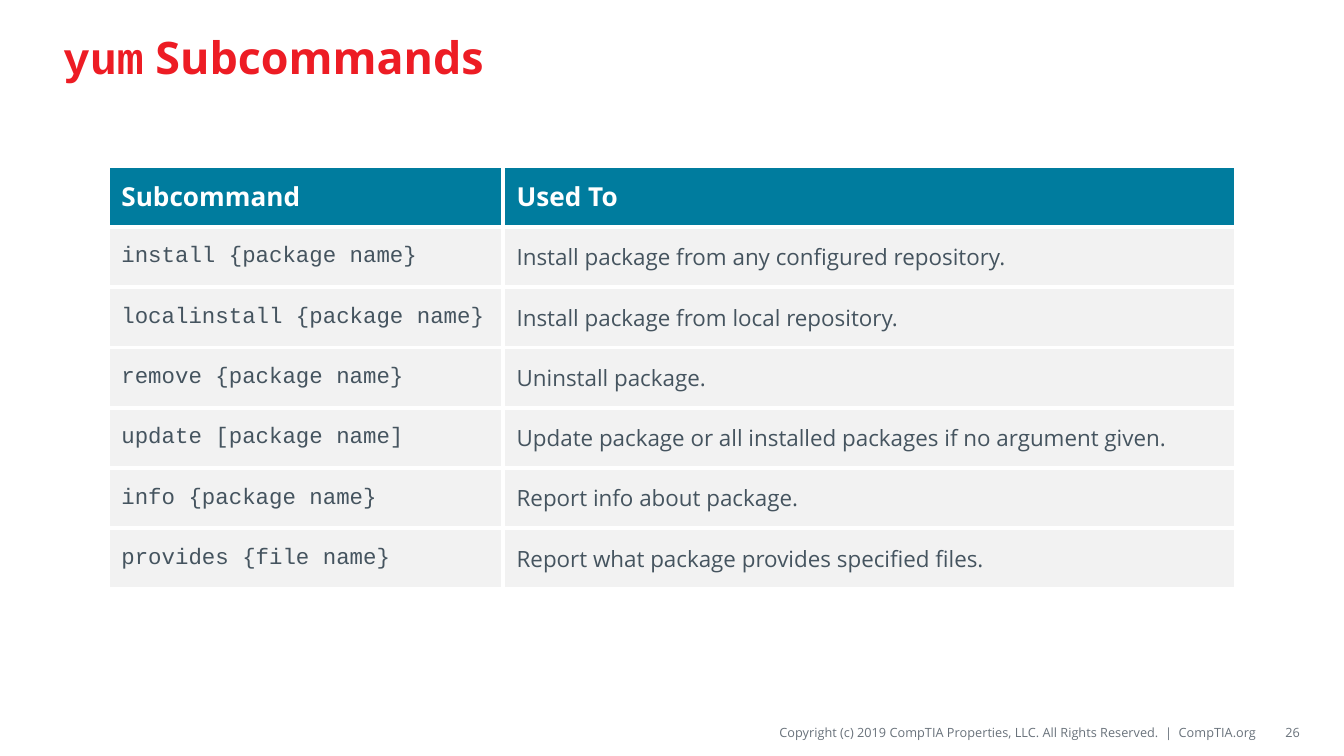
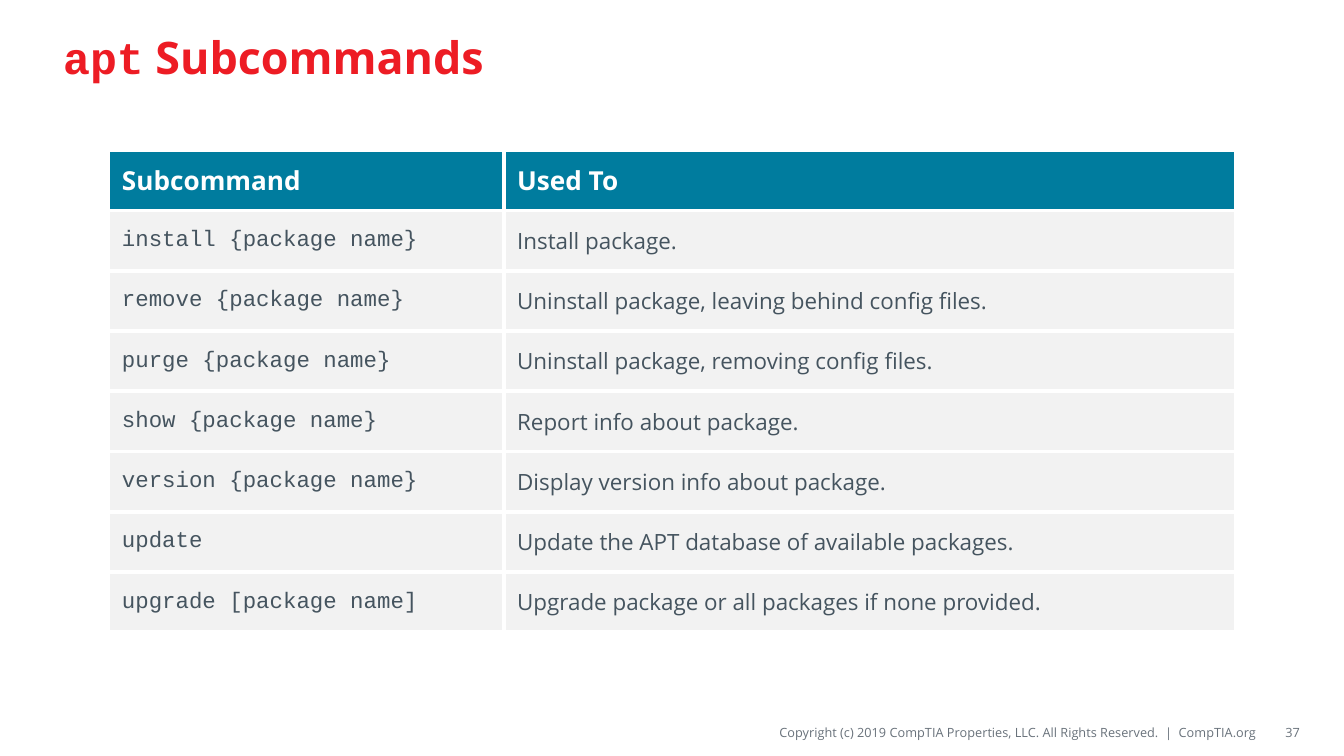
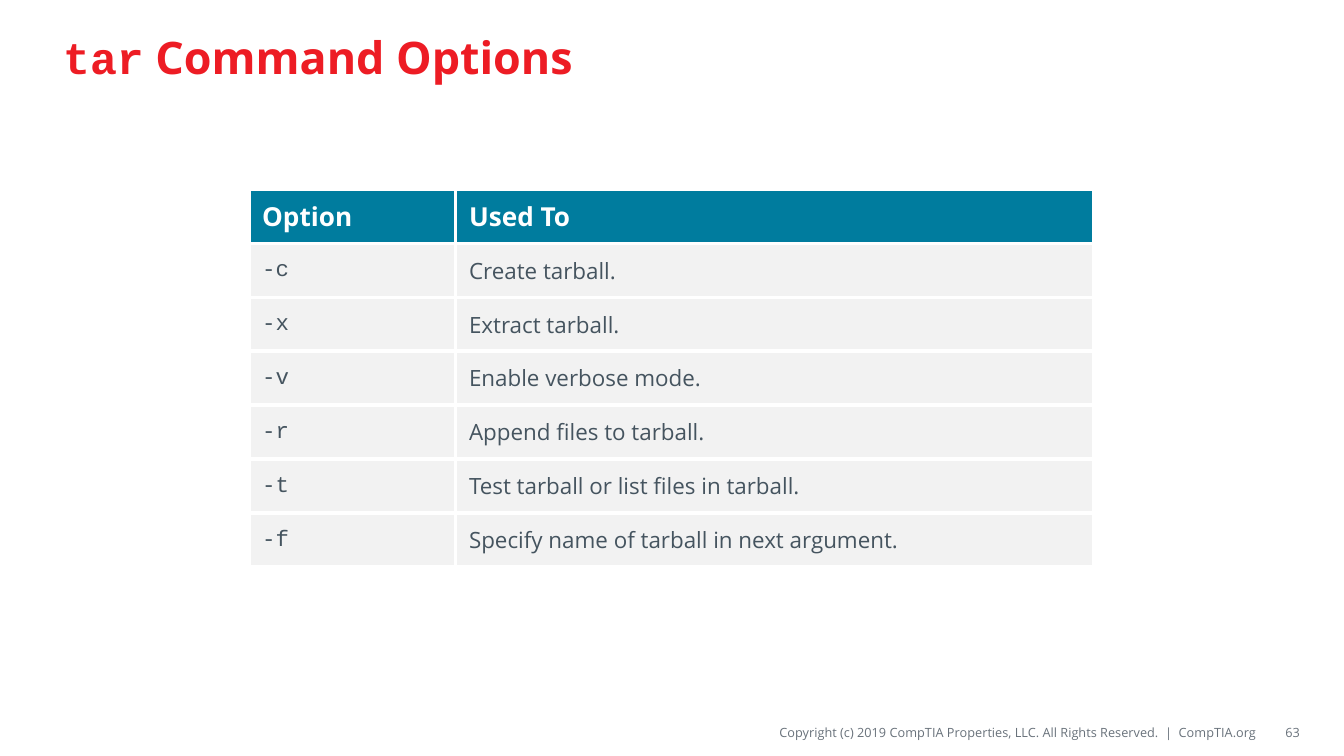
from dataclasses import dataclass

from lxml.etree import SubElement
from pptx import Presentation
from pptx.dml.color import RGBColor
from pptx.enum.text import MSO_ANCHOR, MSO_AUTO_SIZE, PP_ALIGN
from pptx.oxml.ns import qn
from pptx.slide import Slide
from pptx.table import _Cell
from pptx.text.text import _Paragraph
from pptx.util import Cm, Length, Pt

RED = RGBColor(0xED, 0x1C, 0x24)
TEAL = RGBColor(0x00, 0x7C, 0x9E)
PALE = RGBColor(0xF2, 0xF2, 0xF2)
SLATE = RGBColor(0x45, 0x54, 0x5F)
GREY = RGBColor(0x69, 0x72, 0x7B)
WHITE = RGBColor(0xFF, 0xFF, 0xFF)

BODY_FONT = "Open Sans"
CODE_FONT = "Courier New"
COPYRIGHT = "Copyright (c) 2019 CompTIA Properties, LLC. All Rights Reserved.  |  CompTIA.org"
FOOTER_TOP = Cm(13.56)
FOOTER_HEIGHT = Cm(0.56)
BORDER_WIDTH = Pt(2.25)


@dataclass(frozen=True)
class TextStyle:
    font: str
    size: float
    color: RGBColor
    bold: bool = False


@dataclass(frozen=True)
class TableLayout:
    left: Length
    top: Length
    column_widths: tuple[Length, Length]
    row_height: Length


@dataclass(frozen=True)
class CommandPage:
    command: str
    topic: str
    number: int
    layout: TableLayout
    header: tuple[str, str]
    entries: tuple[tuple[str, str], ...]


TITLE_CODE = TextStyle(CODE_FONT, 24, RED, True)
TITLE_TEXT = TextStyle(BODY_FONT, 24, RED, True)
HEADER_TEXT = TextStyle(BODY_FONT, 14, WHITE, True)
ENTRY_CODE = TextStyle(CODE_FONT, 12, SLATE)
ENTRY_TEXT = TextStyle(BODY_FONT, 12, SLATE)
FOOTER_TEXT = TextStyle(BODY_FONT, 6.8, GREY)

SUBCOMMAND_COLUMNS = (Cm(7.47), Cm(13.84))
OPTION_COLUMNS = (Cm(3.91), Cm(12.07))

PAGES = (
    CommandPage(
        "yum", "Subcommands", 26,
        TableLayout(Cm(2.04), Cm(3.15), SUBCOMMAND_COLUMNS, Cm(1.14)),
        ("Subcommand", "Used To"),
        (
            ("install {package name}", "Install package from any configured repository."),
            ("localinstall {package name}", "Install package from local repository."),
            ("remove {package name}", "Uninstall package."),
            ("update [package name]",
             "Update package or all installed packages if no argument given."),
            ("info {package name}", "Report info about package."),
            ("provides {file name}", "Report what package provides specified files."),
        ),
    ),
    CommandPage(
        "apt", "Subcommands", 37,
        TableLayout(Cm(2.05), Cm(2.84), SUBCOMMAND_COLUMNS, Cm(1.14)),
        ("Subcommand", "Used To"),
        (
            ("install {package name}", "Install package."),
            ("remove {package name}", "Uninstall package, leaving behind config files."),
            ("purge {package name}", "Uninstall package, removing config files."),
            ("show {package name}", "Report info about package."),
            ("version {package name}", "Display version info about package."),
            ("update", "Update the APT database of available packages."),
            ("upgrade [package name]", "Upgrade package or all packages if none provided."),
        ),
    ),
    CommandPage(
        "tar", "Command Options", 63,
        TableLayout(Cm(4.7), Cm(3.58), OPTION_COLUMNS, Cm(1.02)),
        ("Option", "Used To"),
        (
            ("-c", "Create tarball."),
            ("-x", "Extract tarball."),
            ("-v", "Enable verbose mode."),
            ("-r", "Append files to tarball."),
            ("-t", "Test tarball or list files in tarball."),
            ("-f", "Specify name of tarball in next argument."),
        ),
    ),
)


def add_span(para: _Paragraph, text: str, style: TextStyle) -> None:
    span = para.add_run()
    span.text = text
    span.font.name = style.font
    span.font.size = Pt(style.size)
    span.font.bold = style.bold
    span.font.color.rgb = style.color


def draw_title(page: Slide, command: str, topic: str) -> None:
    title = page.shapes.title
    title.left, title.top, title.width, title.height = Cm(0.94), Cm(0.2), Cm(23.5), Cm(1.75)
    frame = title.text_frame
    frame.auto_size = MSO_AUTO_SIZE.NONE
    frame.vertical_anchor = MSO_ANCHOR.MIDDLE
    para = frame.paragraphs[0]
    para.alignment = PP_ALIGN.LEFT
    add_span(para, command, TITLE_CODE)
    add_span(para, f" {topic}", TITLE_TEXT)


def draw_footer(page: Slide, text: str, left: Length, width: Length, inset: Length) -> None:
    box = page.shapes.add_textbox(left, FOOTER_TOP, width, FOOTER_HEIGHT)
    frame = box.text_frame
    frame.word_wrap = True
    frame.vertical_anchor = MSO_ANCHOR.MIDDLE
    frame.margin_left, frame.margin_right = inset, 0
    frame.margin_top = frame.margin_bottom = Cm(0.1)
    para = frame.paragraphs[0]
    para.alignment = PP_ALIGN.RIGHT
    add_span(para, text, FOOTER_TEXT)


def add_borders(cell: _Cell) -> None:
    properties = cell._tc.get_or_add_tcPr()
    for side in ("a:lnL", "a:lnR", "a:lnT", "a:lnB"):
        line = SubElement(properties, qn(side), w=str(BORDER_WIDTH))
        fill = SubElement(line, qn("a:solidFill"))
        SubElement(fill, qn("a:srgbClr"), val=str(WHITE))


def fill_cell(cell: _Cell, text: str, style: TextStyle, color: RGBColor) -> None:
    add_borders(cell)
    cell.fill.solid()
    cell.fill.fore_color.rgb = color
    cell.vertical_anchor = MSO_ANCHOR.MIDDLE
    add_span(cell.text_frame.paragraphs[0], text, style)


def draw_table(page: Slide, content: CommandPage) -> None:
    layout = content.layout
    rows = (content.header, *content.entries)
    table = page.shapes.add_table(
        len(rows), len(layout.column_widths), layout.left, layout.top,
        sum(layout.column_widths), layout.row_height * len(rows),
    ).table
    for column, width in zip(table.columns, layout.column_widths):
        column.width = width
    for index, texts in enumerate(rows):
        table.rows[index].height = layout.row_height
        styles = (ENTRY_CODE, ENTRY_TEXT) if index else (HEADER_TEXT, HEADER_TEXT)
        color = PALE if index else TEAL
        for cell, text, style in zip(table.rows[index].cells, texts, styles):
            fill_cell(cell, text, style, color)


def main() -> None:
    deck = Presentation()
    deck.slide_width, deck.slide_height = Cm(25.4), Cm(14.29)
    for content in PAGES:
        page = deck.slides.add_slide(deck.slide_layouts.get_by_name("Title Only"))
        draw_footer(page, COPYRIGHT, Cm(9.86), Cm(13.89), Cm(0))
        draw_title(page, content.command, content.topic)
        draw_footer(page, str(content.number), Cm(23.83), Cm(0.74), Cm(0.25))
        draw_table(page, content)
    deck.save("out.pptx")


if __name__ == "__main__":
    main()
